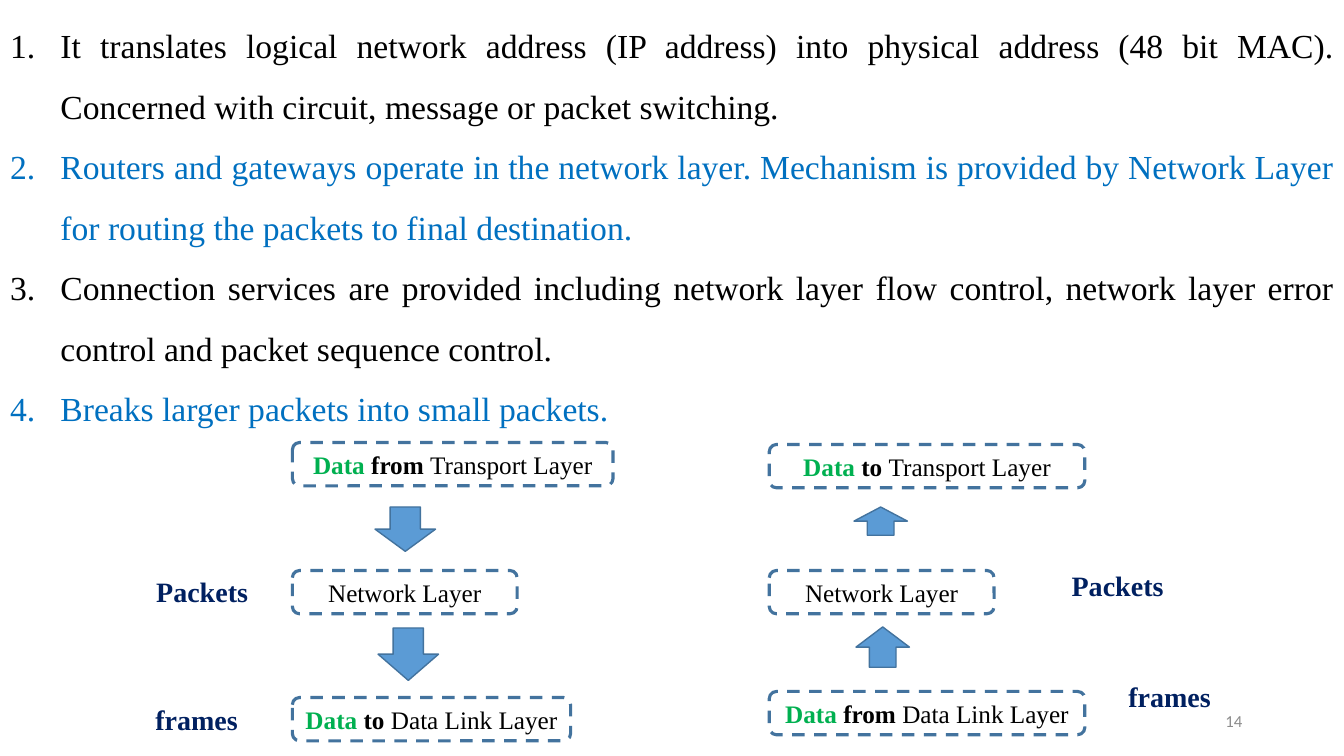
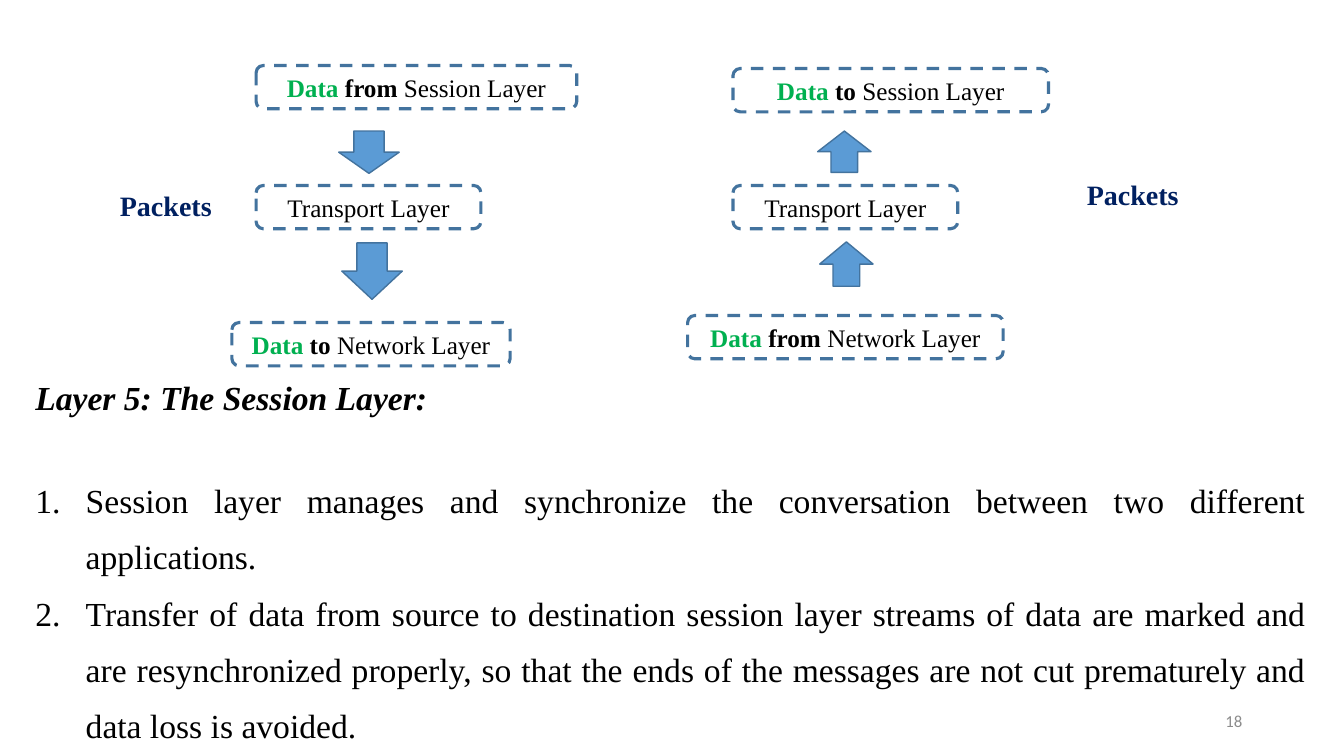
from pptx import Presentation
from pptx.dml.color import RGBColor
from pptx.enum.dml import MSO_LINE
from pptx.enum.shapes import MSO_SHAPE
from pptx.enum.text import MSO_ANCHOR, MSO_AUTO_SIZE, PP_ALIGN
from pptx.oxml.ns import qn
from pptx.util import Inches, Pt
from lxml.etree import SubElement

SERIF, SANS = "Times New Roman", "Calibri"
BLACK, BLUE, NAVY, GREEN, GREY = "000000", "0070C0", "002060", "00B050", "8C8C8C"
ARROW, EDGE = "5B9BD5", "43739E"
BOX_H, LABEL_H = 0.43, 0.44
DOWN = dict(shape=MSO_SHAPE.DOWN_ARROW, width=0.6, offsets=(0.82, 0.85), words=("from", "to"))
UP = dict(shape=MSO_SHAPE.UP_ARROW, width=0.53, offsets=(0.84, 0.86), words=("to", "from"))


def rgb(color):
    return RGBColor.from_string(color)


def inches(*box):
    return [Inches(v) for v in box]


def add_run(p, text, size=18, color=BLACK, font=SERIF, bold=False, italic=False):
    r = p.add_run()
    r.text = text
    r.font.size = Pt(size)
    r.font.name = font
    r.font.color.rgb = rgb(color)
    r.font.bold = bold
    r.font.italic = italic


def add_label(s, box, text, align=PP_ALIGN.CENTER, anchor=MSO_ANCHOR.TOP, **fmt):
    tf = s.shapes.add_textbox(*inches(*box)).text_frame
    tf.word_wrap = True
    tf.vertical_anchor = anchor
    p = tf.paragraphs[0]
    p.alignment = align
    add_run(p, text, **fmt)


def add_outlined(s, kind, box, width):
    sp = s.shapes.add_shape(kind, *inches(*box))
    sp.shadow.inherit = False
    sp.line.color.rgb = rgb(EDGE)
    sp.line.width = Pt(width)
    return sp


def add_layer(s, box, name, word=None):
    sp = add_outlined(s, MSO_SHAPE.ROUNDED_RECTANGLE, box, 2.25)
    sp.fill.background()
    sp.line.dash_style = MSO_LINE.DASH
    tf = sp.text_frame
    tf.vertical_anchor = MSO_ANCHOR.MIDDLE
    p = tf.paragraphs[0]
    p.alignment = PP_ALIGN.CENTER
    if word:
        add_run(p, "Data ", color=GREEN, bold=True)
        add_run(p, word + " ", bold=True)
    add_run(p, name)


def add_flow(s, left, top, direction, names, layers, arrows, labels):
    first, last = direction["words"]
    for name, word, (dx, dy, w) in zip(names, (first, None, last), layers):
        add_layer(s, (left + dx, top + dy, w, BOX_H), name, word)
    for dx, (dy, h) in zip(direction["offsets"], arrows):
        box = (left + dx, top + dy, direction["width"], h)
        sp = add_outlined(s, direction["shape"], box, 1)
        sp.fill.solid()
        sp.fill.fore_color.rgb = rgb(ARROW)
    for text, dx, dy, w in labels:
        add_label(s, (left + dx, top + dy, w, LABEL_H), text, size=20, color=NAVY, bold=True)


def add_body(s, box, items, spacing, heading=None, gap=0):
    body = s.placeholders[1]
    body.left, body.top, body.width, body.height = inches(*box)
    tf = body.text_frame
    tf.auto_size = MSO_AUTO_SIZE.NONE
    p = tf.paragraphs[0]
    if heading:
        p.line_spacing = 0.8
        p.space_before = Pt(10)
        pPr = p._p.get_or_add_pPr()
        pPr.set("marL", "0")
        pPr.set("indent", "0")
        SubElement(pPr, qn("a:buNone"))
        add_run(p, heading, size=24, bold=True, italic=True)
        p = tf.add_paragraph()
    for i, (text, color) in enumerate(items):
        if i:
            p = tf.add_paragraph()
        p.alignment = PP_ALIGN.JUSTIFY
        p.line_spacing = spacing
        p.space_before = Pt(0 if i else gap)
        pPr = p._p.get_or_add_pPr()
        pPr.set("marL", str(Inches(0.5)))
        pPr.set("indent", str(-Inches(0.5)))
        SubElement(pPr, qn("a:buFont"), typeface="+mj-lt")
        SubElement(pPr, qn("a:buAutoNum"), type="arabicPeriod")
        add_run(p, text, size=24, color=color)


def new_slide(prs, number):
    s = prs.slides.add_slide(prs.slide_layouts[1])
    title = s.shapes.title._element
    title.getparent().remove(title)
    add_label(s, (9.42, 6.95, 3, 0.4), number, align=PP_ALIGN.RIGHT,
              anchor=MSO_ANCHOR.MIDDLE, size=12, color=GREY, font=SANS)
    return s


def network_slide(prs):
    s = new_slide(prs, "14")
    add_body(s, (0, 0, 13.33, 4.39), [
        ("It translates logical network address (IP address) into physical address (48 bit MAC). "
         "Concerned with circuit, message or packet switching.", BLACK),
        ("Routers and gateways operate in the network layer. Mechanism is provided by "
         "Network Layer for routing the packets to final destination.", BLUE),
        ("Connection services are provided including network layer flow control, "
         "network layer error control and packet sequence control.", BLACK),
        ("Breaks larger packets into small packets.", BLUE),
    ], 1.5)
    names = ("Transport Layer", "Network Layer", "Data Link Layer")
    add_flow(s, 2.9, 4.39, DOWN, names,
             layers=[(0, 0, 3.18), (0, 1.27, 2.23), (0, 2.53, 2.76)],
             arrows=[(0.64, 0.44), (1.84, 0.52)],
             labels=[("Packets", -1.51, 1.26, 1.23), ("frames", -1.46, 2.53, 1.02)])
    add_flow(s, 7.63, 4.41, UP, names,
             layers=[(0, 0, 3.13), (0, 1.25, 2.23), (0, 2.45, 3.13)],
             arrows=[(0.62, 0.28), (1.81, 0.4)],
             labels=[("Packets", 2.84, 1.18, 1.23), ("frames", 3.46, 2.28, 1.02)])


def session_slide(prs):
    s = new_slide(prs, "18")
    names = ("Session Layer", "Transport Layer", "Network Layer")
    add_flow(s, 2.54, 0.65, DOWN, names,
             layers=[(0, 0, 3.18), (0, 1.19, 2.23), (-0.24, 2.55, 2.76)],
             arrows=[(0.65, 0.42), (1.76, 0.56)],
             labels=[("Packets", -1.51, 1.17, 1.23)])
    add_flow(s, 7.27, 0.68, UP, names,
             layers=[(0, 0, 3.13), (0, 1.16, 2.23), (-0.45, 2.45, 3.13)],
             arrows=[(0.62, 0.41), (1.72, 0.44)],
             labels=[("Packets", 3.35, 1.03, 1.23)])
    add_body(s, (0.25, 3.77, 12.8, 3.96), [
        ("Session layer manages and synchronize the conversation between two different "
         "applications.", BLACK),
        ("Transfer of data from source to destination session layer streams of data are marked "
         "and are resynchronized properly, so that the ends of the messages are not cut "
         "prematurely and data loss is avoided.", BLACK),
    ], 1.4, heading="Layer 5: The Session Layer:", gap=33)


prs = Presentation()
prs.slide_width, prs.slide_height = inches(13.33, 7.5)
network_slide(prs)
session_slide(prs)
prs.save("out.pptx")
